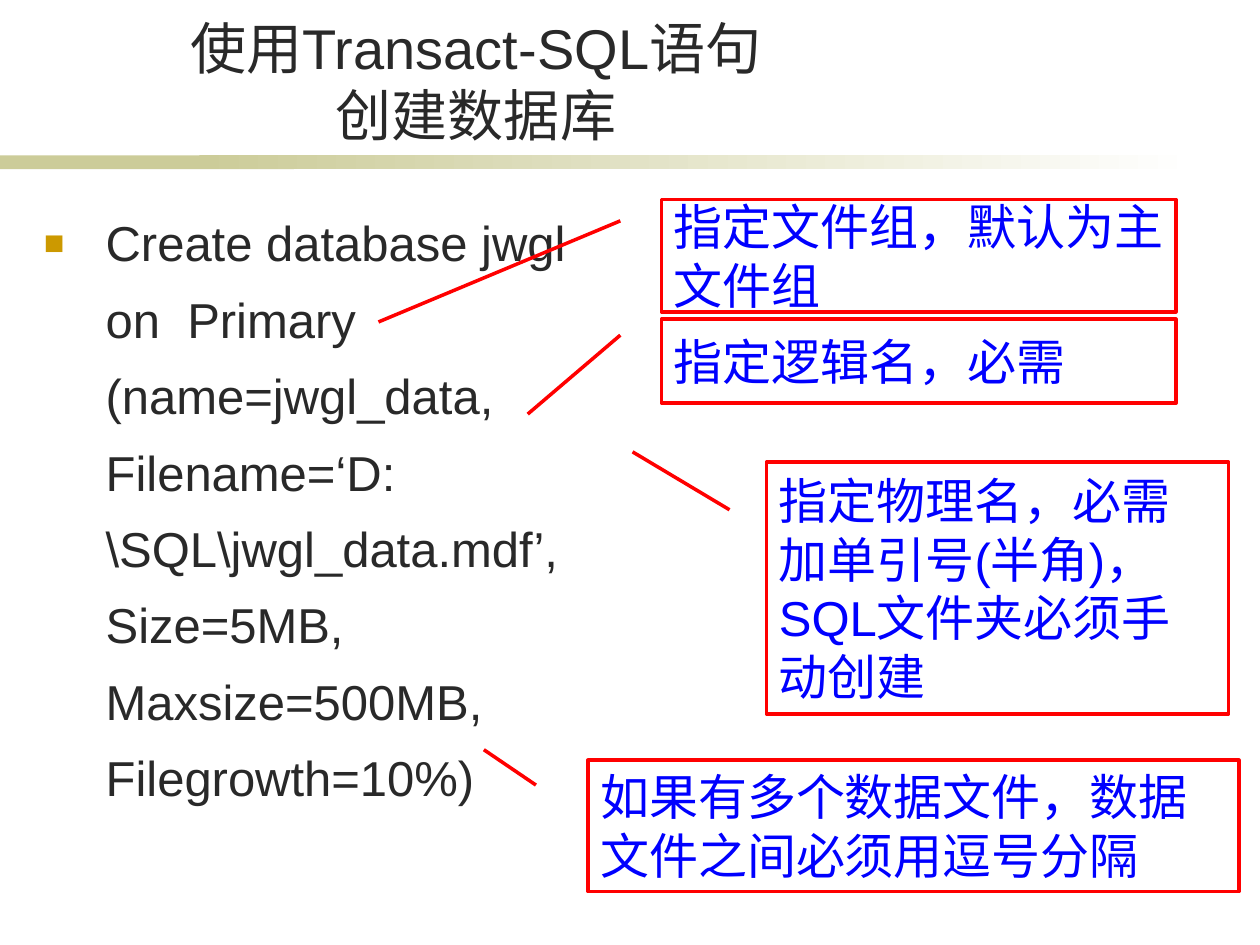
import pptx
import pptx.dml.color
import pptx.enum.shapes
import pptx.enum.text
import pptx.oxml
import pptx.oxml.ns
import pptx.util

COLORS = {"band": "CCCC99", "paper": "FFFFFF", "ink": "292929",
          "bullet": "CC9900", "frame": "FF0000", "note": "0000FF"}
COLUMNS, ROWS = 120, 90
WIDTH, HEIGHT = pptx.util.Inches(10), pptx.util.Inches(7.5)
SHAPES = pptx.enum.shapes.MSO_SHAPE
ANCHORS = pptx.enum.text.MSO_ANCHOR
ALIGNMENTS = pptx.enum.text.PP_ALIGN

STATEMENT = """Create database jwgl 
on  Primary
(name=jwgl_data,
Filename=‘D:\\SQL\\jwgl_data.mdf’,
Size=5MB,
Maxsize=500MB,
Filegrowth=10%)"""

CALLOUTS = [
    ("指定文件组，默认为主文件组", (63, 19, 49, 10.7), (1.09, -0.55)),
    ("指定逻辑名，必需", (63, 30.4, 49, 8), (1.13, -0.26)),
    ("指定物理名，必需加单引号(半角)，SQL文件夹必须手动创建",
     (73, 44, 44, 24), (-0.04, -0.29)),
    ("如果有多个数据文件，数据文件之间必须用逗号分隔",
     (56, 72.4, 62, 12.5), (-0.08, -0.16)),
]


def rgb(name):
    return pptx.dml.color.RGBColor.from_string(COLORS[name])


def place(column, row, columns, rows):
    return (round(WIDTH * column / COLUMNS), round(HEIGHT * row / ROWS),
            round(WIDTH * columns / COLUMNS), round(HEIGHT * rows / ROWS))


def write(shape, text, size=28, color="ink", anchor=ANCHORS.TOP,
          alignment=ALIGNMENTS.LEFT, spacing=None):
    frame = shape.text_frame
    frame.word_wrap = True
    frame.vertical_anchor = anchor
    paragraph = frame.paragraphs[0]
    paragraph.text = text
    paragraph.alignment = alignment
    paragraph.line_spacing = spacing
    for run in paragraph.runs:
        run.font.name = "Arial"
        run.font.size = pptx.util.Pt(size)
        run.font.color.rgb = rgb(color)
    return paragraph


def add_text(slide, text, cell, **style):
    return write(slide.shapes.add_textbox(*place(*cell)), text, **style)


def add_bullet(paragraph, indent):
    properties = paragraph._p.get_or_add_pPr()
    properties.set("marL", str(indent))
    properties.set("indent", str(-indent))
    namespace = pptx.oxml.ns.nsdecls("a")
    for element in (
            f'<a:buClr {namespace}><a:srgbClr val="{COLORS["bullet"]}"/></a:buClr>',
            f'<a:buSzPct {namespace} val="70000"/>',
            f'<a:buFont {namespace} typeface="Arial"/>',
            f'<a:buChar {namespace} char="■"/>'):
        properties.append(pptx.oxml.parse_xml(element))


def add_band(slide, cell, fade=False):
    shape = slide.shapes.add_shape(SHAPES.RECTANGLE, *place(*cell))
    shape.shadow.inherit = False
    shape.line.fill.background()
    if fade:
        shape.fill.gradient()
        shape.fill.gradient_angle = 0
        for stop, color in zip(shape.fill.gradient_stops, ("band", "paper")):
            stop.color.rgb = rgb(color)
    else:
        shape.fill.solid()
        shape.fill.fore_color.rgb = rgb("band")


def add_callout(slide, text, cell, tip):
    shape = slide.shapes.add_shape(SHAPES.LINE_CALLOUT_1, *place(*cell))
    shape.shadow.inherit = False
    shape.fill.background()
    shape.line.color.rgb = rgb("frame")
    shape.line.width = pptx.util.Pt(2)
    for index, value in enumerate((0.19, -0.08, *tip)):
        shape.adjustments[index] = value
    write(shape, text, color="note", anchor=ANCHORS.MIDDLE)


def main():
    presentation = pptx.Presentation()
    presentation.slide_width, presentation.slide_height = WIDTH, HEIGHT
    slide = presentation.slides.add_slide(presentation.slide_layouts[6])
    add_band(slide, (0, 14.8, 28, 1.3))
    add_band(slide, (19, 14.8, 95, 1.3), fade=True)
    add_text(slide, "使用Transact-SQL语句创建数据库", (15.6, 1.9, 59.5, 12.8),
             size=32, anchor=ANCHORS.BOTTOM, alignment=ALIGNMENTS.CENTER)
    statement = add_text(slide, STATEMENT, (3, 18, 69, 65), spacing=1.3)
    add_bullet(statement, pptx.util.Inches(0.49))
    for callout in CALLOUTS:
        add_callout(slide, *callout)
    presentation.save("out.pptx")


if __name__ == "__main__":
    main()
